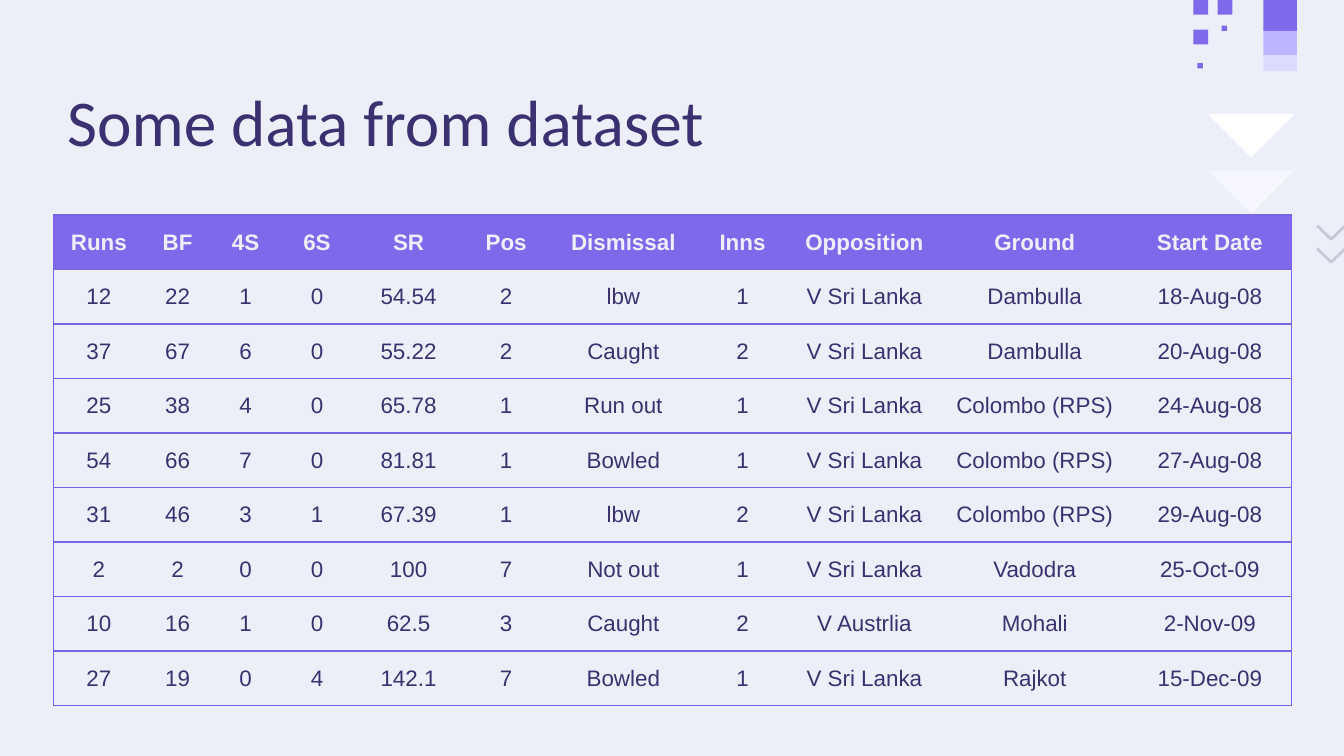
from lxml import etree
from pptx import Presentation
from pptx.dml.color import RGBColor
from pptx.enum.shapes import MSO_SHAPE
from pptx.enum.text import MSO_ANCHOR, MSO_AUTO_SIZE, PP_ALIGN
from pptx.oxml.ns import qn
from pptx.util import Inches, Pt

RECT = MSO_SHAPE.RECTANGLE
MIDDLE = MSO_ANCHOR.MIDDLE
LEFT, CENTER = PP_ALIGN.LEFT, PP_ALIGN.CENTER
NO_AUTOFIT = MSO_AUTO_SIZE.NONE

BACKGROUND, INK, PURPLE, RULE = "EDEFF8", "3B3170", "7F68EA", "7A63E8"
MARGIN = 0.4
TABLE_WIDTH = 9.21
ROW_HEIGHT = 3.65 / 9
COLUMN_WIDTHS = [0.67, 0.5, 0.51, 0.55, 0.81, 0.64, 1.1, 0.67, 1.14, 1.39, 1.21]
INNINGS = [
    ["Runs", "BF", "4S", "6S", "SR", "Pos", "Dismissal", "Inns", "Opposition", "Ground", "Start Date"],
    ["12", "22", "1", "0", "54.54", "2", "lbw", "1", "V Sri Lanka", "Dambulla", "18-Aug-08"],
    ["37", "67", "6", "0", "55.22", "2", "Caught", "2", "V Sri Lanka", "Dambulla", "20-Aug-08"],
    ["25", "38", "4", "0", "65.78", "1", "Run out", "1", "V Sri Lanka", "Colombo (RPS)", "24-Aug-08"],
    ["54", "66", "7", "0", "81.81", "1", "Bowled", "1", "V Sri Lanka", "Colombo (RPS)", "27-Aug-08"],
    ["31", "46", "3", "1", "67.39", "1", "lbw", "2", "V Sri Lanka", "Colombo (RPS)", "29-Aug-08"],
    ["2", "2", "0", "0", "100", "7", "Not out", "1", "V Sri Lanka", "Vadodra", "25-Oct-09"],
    ["10", "16", "1", "0", "62.5", "3", "Caught", "2", "V Austrlia", "Mohali", "2-Nov-09"],
    ["27", "19", "0", "4", "142.1", "7", "Bowled", "1", "V Sri Lanka", "Rajkot", "15-Dec-09"],
]
SQUARES = [(8.88, 0, 0.11), (9.06, 0, 0.11), (8.88, 0.22, 0.11), (8.91, 0.47, 0.04), (9.09, 0.19, 0.04)]
BANDS = [(0, 0.23, PURPLE), (0.23, 0.18, "BBB6FF"), (0.41, 0.12, "DBDAFF")]


def rgb(color):
    """Turn a hex string into a colour."""
    return RGBColor.from_string(color)


def add_block(s, left, top, width, height, color):
    """Add a plain filled rectangle."""
    sp = s.shapes.add_shape(RECT, Inches(left), Inches(top), Inches(width), Inches(height))
    sp.shadow.inherit = False
    sp.fill.solid()
    sp.fill.fore_color.rgb = rgb(color)
    sp.line.fill.background()


def add_arrow(s, left, top, width, height, color, filled):
    """Add a downward triangle, or an open chevron when not filled."""
    points = [(left + width / 2, top + height), (left + width, top)]
    builder = s.shapes.build_freeform(Inches(left), Inches(top))
    builder.add_line_segments([(Inches(x), Inches(y)) for x, y in points], close=filled)
    sp = builder.convert_to_shape()
    sp.shadow.inherit = False
    if filled:
        sp.fill.solid()
        sp.fill.fore_color.rgb = rgb(color)
        sp.line.fill.background()
    else:
        sp.fill.background()
        sp.line.color.rgb = rgb(color)
        sp.line.width = Pt(1.5)


def add_decoration(s):
    """Add the arrows, squares and colour bands in the top right corner."""
    for top, color in [(1.27, "F5F6FF"), (0.85, "FFFFFF")]:
        add_arrow(s, 8.99, top, 0.64, 0.32, color, True)
    for top in (1.68, 1.85):
        add_arrow(s, 9.8, top, 0.21, 0.1, "C6C8DB", False)
    for left, top, side in SQUARES:
        add_block(s, left, top, side, side, PURPLE)
    for top, height, color in BANDS:
        add_block(s, 9.4, top, 0.25, height, color)


def set_title(s, text):
    """Place and format the title placeholder."""
    sp = s.shapes.title
    sp.left, sp.top, sp.width, sp.height = [Inches(v) for v in (MARGIN, 0.5, 8.43, 0.79)]
    tf = sp.text_frame
    tf.text = text
    tf.auto_size, tf.vertical_anchor, tf.word_wrap = NO_AUTOFIT, MIDDLE, True
    tf.margin_left = tf.margin_top = tf.margin_right = tf.margin_bottom = Inches(0.1)
    p = tf.paragraphs[0]
    p.alignment = LEFT
    p.font.name, p.font.size = "Calibri", Pt(35)
    p.font.color.rgb = rgb(INK)


def set_border(cell, side, visible):
    """Draw or hide one border of a cell."""
    tc_pr = cell._tc.get_or_add_tcPr()
    line = etree.SubElement(tc_pr, qn(f"a:ln{side}"), w=str(Pt(0.75)))
    if visible:
        fill = etree.SubElement(line, qn("a:solidFill"))
        etree.SubElement(fill, qn("a:srgbClr"), val=RULE)
    else:
        etree.SubElement(line, qn("a:noFill"))


def format_cell(cell, text, header, first, last):
    """Fill in a cell with its text, borders and background."""
    cell.text = text
    cell.vertical_anchor = MIDDLE
    p = cell.text_frame.paragraphs[0]
    p.alignment = CENTER
    p.font.name, p.font.size, p.font.bold = "Arial", Pt(12), header
    p.font.color.rgb = rgb(BACKGROUND if header else INK)
    for side, visible in [("L", first), ("R", last), ("T", True), ("B", True)]:
        set_border(cell, side, visible)
    if header:
        cell.fill.solid()
        cell.fill.fore_color.rgb = rgb(PURPLE)
    else:
        cell.fill.background()


def add_innings_table(s):
    """Add the table of innings, its columns scaled to the table width."""
    rows, cols = len(INNINGS), len(COLUMN_WIDTHS)
    frame = s.shapes.add_table(rows, cols, Inches(MARGIN), Inches(1.6),
                               Inches(TABLE_WIDTH), Inches(rows * ROW_HEIGHT))
    table = frame.table
    table.horz_banding = False
    scale = TABLE_WIDTH / sum(COLUMN_WIDTHS)
    for column, width in zip(table.columns, COLUMN_WIDTHS):
        column.width = Inches(width * scale)
    for i, values in enumerate(INNINGS):
        table.rows[i].height = Inches(ROW_HEIGHT)
        for j, text in enumerate(values):
            format_cell(table.cell(i, j), text, i == 0, j == 0, j == cols - 1)


def main():
    """Build and save the slide."""
    prs = Presentation()
    prs.slide_width = Inches(10)
    prs.slide_height = prs.slide_width * 9 // 16
    s = prs.slides.add_slide(prs.slide_layouts[5])
    s.background.fill.solid()
    s.background.fill.fore_color.rgb = rgb(BACKGROUND)
    add_decoration(s)
    set_title(s, "Some data from dataset")
    add_innings_table(s)
    prs.save("out.pptx")


if __name__ == "__main__":
    main()
